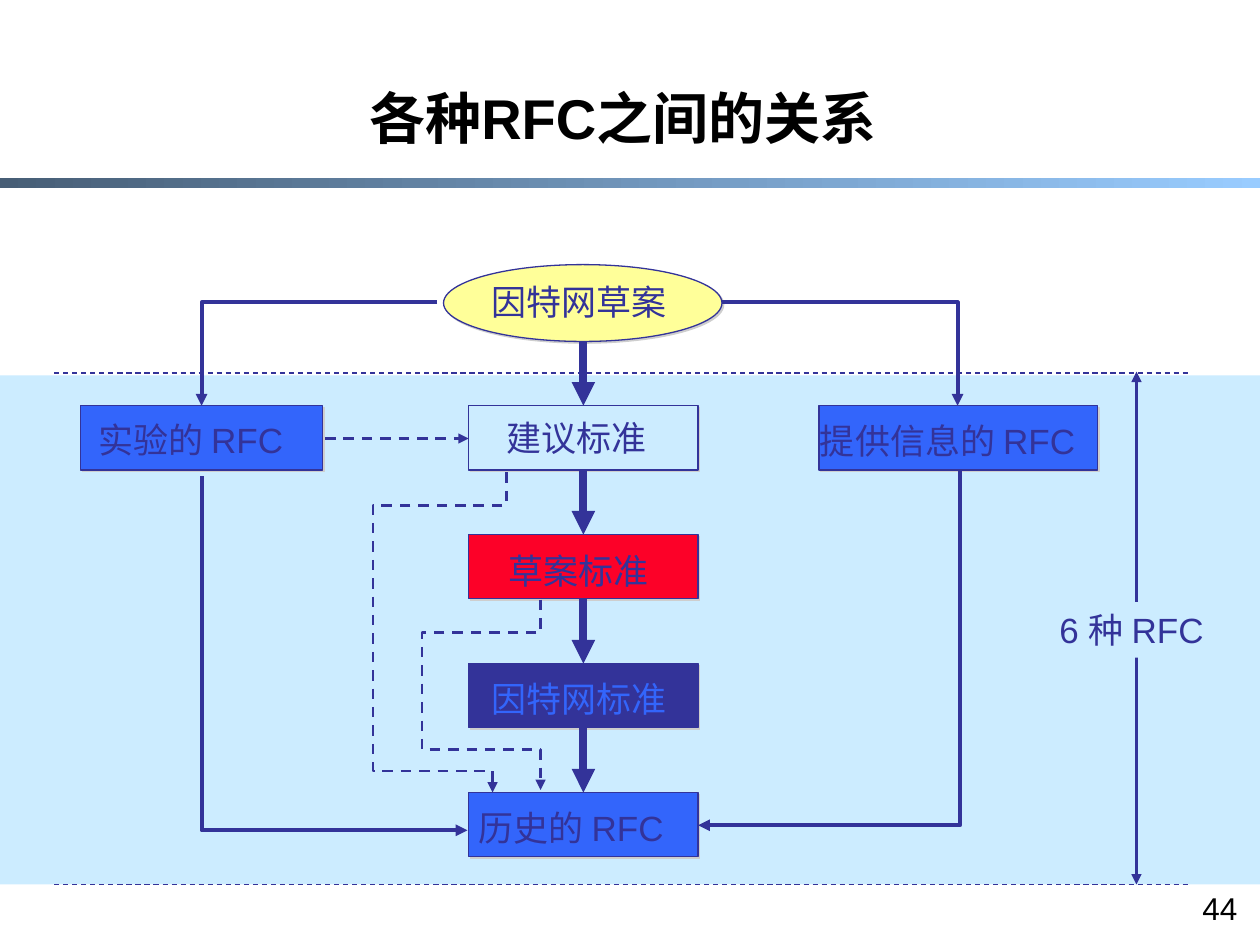
from lxml import etree
from pptx import Presentation
from pptx.dml.color import RGBColor
from pptx.enum.dml import MSO_LINE
from pptx.enum.shapes import MSO_CONNECTOR, MSO_SHAPE
from pptx.enum.text import MSO_ANCHOR, MSO_AUTO_SIZE, PP_ALIGN
from pptx.oxml.ns import qn
from pptx.util import Inches, Pt

RECT, OVAL = MSO_SHAPE.RECTANGLE, MSO_SHAPE.OVAL
STRAIGHT = MSO_CONNECTOR.STRAIGHT
DASH = MSO_LINE.DASH
LEFT, CENTER, RIGHT = PP_ALIGN.LEFT, PP_ALIGN.CENTER, PP_ALIGN.RIGHT
TITLE_ONLY = 5

NAVY, BLUE, PALE, RED, YELLOW = "333399", "3365FB", "CCECFF", "FC0128", "FFFF99"
BLACK, SHADOW = "000000", "CECECE"


def rgb(value):
    return RGBColor.from_string(value)


def inches(values):
    return [Inches(v) for v in values]


class Diagram:
    font = {"name": "Arial", "size": Pt(20), "bold": False}

    def __init__(self, prs):
        self.s = prs.slides.add_slide(prs.slide_layouts[TITLE_ONLY])

    def set_text(self, tf, text, color, align=LEFT, **changes):
        p = tf.paragraphs[0]
        p.alignment = align
        r = p.add_run()
        r.text = text
        for name, value in {**self.font, **changes}.items():
            setattr(r.font, name, value)
        r.font.color.rgb = rgb(color)
        return p

    def title(self, text, box):
        sp = self.s.shapes.title
        sp.left, sp.top, sp.width, sp.height = inches(box)
        tf = sp.text_frame
        tf.auto_size, tf.vertical_anchor = MSO_AUTO_SIZE.NONE, MSO_ANCHOR.BOTTOM
        p = self.set_text(tf, text, BLACK, CENTER, size=Pt(32), bold=True)
        p.line_spacing = 0.9

    def label(self, text, box, color=NAVY, fill=None, align=LEFT, **changes):
        sp = self.s.shapes.add_textbox(*inches(box))
        if fill:
            sp.fill.solid()
            sp.fill.fore_color.rgb = rgb(fill)
        tf = sp.text_frame
        tf.word_wrap, tf.auto_size = False, MSO_AUTO_SIZE.SHAPE_TO_FIT_TEXT
        self.set_text(tf, text, color, align, **changes)

    def panel(self, box, fill):
        sp = self.s.shapes.add_shape(RECT, *inches(box))
        sp.shadow.inherit = False
        sp.line.fill.background()
        sp.fill.solid()
        sp.fill.fore_color.rgb = rgb(fill)

    def gradient_bar(self, box, colors):
        sp = self.s.shapes.add_shape(RECT, *inches(box))
        sp.shadow.inherit = False
        sp.line.fill.background()
        sp.fill.gradient()
        sp.fill.gradient_angle = 0
        for stop, position, color in zip(sp.fill.gradient_stops, (0, 1), colors):
            stop.position, stop.color.rgb = position, rgb(color)

    def node(self, box, fill, kind=RECT):
        """Outlined shape with a small hard shadow."""
        sp = self.s.shapes.add_shape(kind, *inches(box))
        sp.fill.solid()
        sp.fill.fore_color.rgb = rgb(fill)
        sp.line.color.rgb, sp.line.width = rgb(NAVY), Pt(0.75)
        sp.shadow.inherit = False
        effects = sp._element.spPr.find(qn("a:effectLst"))
        shadow = etree.SubElement(effects, qn("a:outerShdw"), dist=str(Pt(1.4)),
                                  dir="2700000", algn="ctr", rotWithShape="0")
        etree.SubElement(shadow, qn("a:srgbClr"), val=SHADOW)

    def stroke(self, sp, width, dash, ends):
        sp.line.color.rgb, sp.line.width = rgb(NAVY), Pt(width)
        if dash:
            sp.line.dash_style = dash
        ln = sp._element.spPr.find(qn("a:ln"))
        for end in ends:
            etree.SubElement(ln, qn(f"a:{end}"), type="triangle")

    def line(self, start, end, width, dash=None, ends=("tailEnd",)):
        sp = self.s.shapes.add_connector(STRAIGHT, *inches(start + end))
        self.stroke(sp, width, dash, ends)
        etree.SubElement(sp._element.spPr, qn("a:effectLst"))

    def elbow(self, points, width, dash=None):
        """Open path with right-angle bends and an arrowhead at its end."""
        start, *rest = [tuple(inches(point)) for point in points]
        builder = self.s.shapes.build_freeform(*start)
        builder.add_line_segments(rest, close=False)
        sp = builder.convert_to_shape()
        sp.fill.background()
        sp.shadow.inherit = False
        self.stroke(sp, width, dash, ("tailEnd",))


def main():
    prs = Presentation()
    prs.slide_width, prs.slide_height = Inches(10), Inches(7.5)
    d = Diagram(prs)

    d.label("44", (8.58, 7.01, 1.34, 0.4), BLACK, align=RIGHT, size=Pt(18))
    d.gradient_bar((0, 1.41, 10, 0.08), ("475E76", "99CCFF"))
    d.panel((0, 2.98, 10, 4.04), PALE)
    d.title("各种RFC之间的关系 ", (1.08, 0.33, 7.83, 0.92))

    # Standards track: four stages at an equal pitch below the draft
    top, bottom, height, axis = 3.22, 6.29, 0.51, 4.63
    stage_tops = [top + i * (bottom - top) / 3 for i in range(4)]
    for y, fill in zip(stage_tops, (PALE, RED, NAVY, BLUE)):
        d.node((3.72, y, 1.82, height), fill)
    d.node((6.5, top, 2.21, height), BLUE)
    d.node((0.64, top, 1.92, height), BLUE)
    d.node((3.52, 2.1, 2.21, 0.61), YELLOW, OVAL)
    for y in stage_tops:
        d.line((axis, y - height), (axis, y), 4.5)

    solid_paths = [
        [(5.73, 2.4), (7.6, 2.4), (7.6, top)],
        [(3.47, 2.4), (1.6, 2.4), (1.6, top)],
        [(1.6, 3.78), (1.6, 6.59), (3.71, 6.59)],
        [(7.62, 3.73), (7.62, 6.55), (5.54, 6.55)],
    ]
    for points in solid_paths:
        d.elbow(points, 2.25)

    d.line((2.58, 3.48), (3.72, 3.48), 1.5, DASH)
    dashed_paths = [
        [(4.02, 3.75), (4.02, 4.01), (2.96, 4.01), (2.96, 6.12), (3.91, 6.12), (3.91, 6.29)],
        [(4.29, 4.76), (4.29, 5.02), (3.35, 5.02), (3.35, 5.95), (4.29, 5.95), (4.29, 6.27)],
    ]
    for points in dashed_paths:
        d.elbow(points, 1.5, DASH)

    labels = [
        ("因特网草案", 3.8, 2.18, 1.59, NAVY),
        ("建议标准", 3.92, 3.26, 1.31, NAVY),
        ("草案标准", 3.94, 4.31, 1.31, NAVY),
        ("因特网标准", 3.8, 5.33, 1.59, BLUE),
        ("历史的 RFC", 3.7, 6.35, 1.81, NAVY),
        ("实验的 RFC", 0.68, 3.27, 1.81, NAVY),
        ("提供信息的 RFC", 6.41, 3.28, 2.37, NAVY),
    ]
    for text, x, y, width, color in labels:
        d.label(text, (x, y, width, 0.44), color)

    # Range covered by the six kinds of RFC
    for y in (2.96, 7.02):
        d.line((0.43, y), (9.44, y), 0.75, DASH, ends=())
    d.line((9.02, 2.95), (9.02, 7.02), 1.5, ends=("headEnd", "tailEnd"))
    d.label("6 种 RFC", (8.31, 4.78, 1.55, 0.44), fill=PALE)

    prs.save("out.pptx")


if __name__ == "__main__":
    main()
